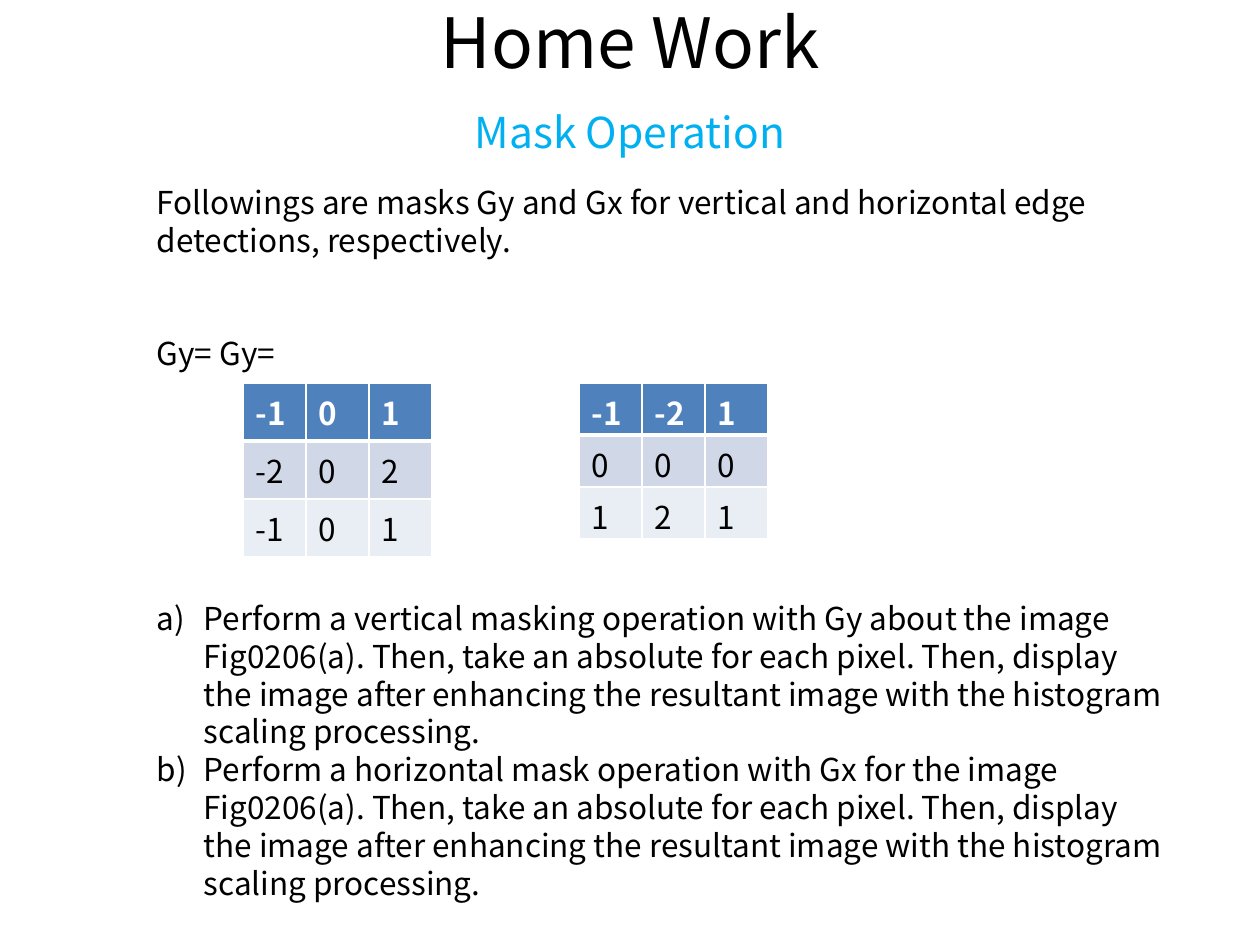
from dataclasses import dataclass

from lxml.etree import SubElement
from pptx import Presentation
from pptx.dml.color import RGBColor
from pptx.enum.text import MSO_ANCHOR, MSO_AUTO_SIZE, PP_ALIGN
from pptx.oxml.ns import qn
from pptx.util import Emu, Pt

EMU_PER_PX = 914400 / 126


@dataclass(frozen=True)
class Theme:
    font: str = "Noto Sans CJK KR"
    ink: str = "000000"
    accent: str = "00B0F0"
    white: str = "FFFFFF"
    row_fills: tuple[str, ...] = ("4F81BD", "D0D8E8", "E9EDF4")
    title_size: float = 39.6
    subtitle_size: float = 24.3
    body_size: float = 18
    body_line: float = 21.6


@dataclass(frozen=True)
class Mask:
    left: int
    top: int
    row_height: int
    bottom_margin: int
    values: tuple[tuple[int, ...], ...]


@dataclass(frozen=True)
class Passage:
    text: str
    blank_lines_before: int = 0
    lettered: bool = False


THEME = Theme()
CELL_WIDTH = 63
LETTER_INDENT = 47
SECOND_LABEL_TAB = 260

MASKS = (
    Mask(243, 383, 58, 6, ((-1, 0, 1), (-2, 0, 2), (-1, 0, 1))),
    Mask(579, 383, 51, 0, ((-1, -2, 1), (0, 0, 0), (1, 2, 1))),
)

TASK_ENDING = (
    "image Fig0206(a). Then, take an absolute for each pixel. Then, display "
    "the image after enhancing the resultant image with the histogram scaling processing."
)
PASSAGES = (
    Passage("Followings are masks Gy and Gx for vertical and horizontal edge "
            "detections, respectively."),
    Passage("Gy=\tGy=", blank_lines_before=2),
    Passage("Perform a vertical masking operation with Gy about the " + TASK_ENDING,
            blank_lines_before=6, lettered=True),
    Passage("Perform a horizontal mask operation with Gx for the " + TASK_ENDING,
            lettered=True),
)


def px(length: int) -> Emu:
    return Emu(round(length * EMU_PER_PX))


def place(shape, left: int, top: int, width: int, height: int) -> None:
    shape.left, shape.top = px(left), px(top)
    shape.width, shape.height = px(width), px(height)


def add_run(paragraph, text: str, size: float, color: str, bold: bool = False) -> None:
    run = paragraph.add_run()
    run.text = text
    run.font.name = THEME.font
    run.font.size = Pt(size)
    run.font.bold = bold
    run.font.color.rgb = RGBColor.from_string(color)


def write_title(title) -> None:
    place(title, 63, 38, 1134, 157)
    frame = title.text_frame
    frame.auto_size = MSO_AUTO_SIZE.NONE
    frame.vertical_anchor = MSO_ANCHOR.MIDDLE
    frame.margin_top, frame.margin_bottom = 0, px(77)
    heading, topic = frame.paragraphs[0], frame.add_paragraph()
    for paragraph, text, size, color, line in (
        (heading, "Home Work", THEME.title_size, THEME.ink, 47.4),
        (topic, "Mask Operation", THEME.subtitle_size, THEME.accent, 42.9),
    ):
        paragraph.alignment = PP_ALIGN.CENTER
        paragraph.line_spacing = Pt(line)
        add_run(paragraph, text, size, color)
    topic._p.get_or_add_pPr().set("indent", str(px(-16)))


def write_passage(paragraph, passage: Passage) -> None:
    paragraph.line_spacing = Pt(THEME.body_line)
    paragraph.space_before = Pt(THEME.body_line * passage.blank_lines_before)
    properties = paragraph._p.get_or_add_pPr()
    indent = px(LETTER_INDENT) if passage.lettered else 0
    properties.set("marL", str(indent))
    properties.set("indent", str(-indent))
    if passage.lettered:
        SubElement(properties, qn("a:buFont"), typeface=THEME.font)
        SubElement(properties, qn("a:buAutoNum"), type="alphaLcParenR")
    else:
        SubElement(properties, qn("a:buNone"))
    if "\t" in passage.text:
        tabs = SubElement(properties, qn("a:tabLst"))
        SubElement(tabs, qn("a:tab"), pos=str(px(SECOND_LABEL_TAB)), algn="l")
    add_run(paragraph, passage.text, THEME.body_size, THEME.ink)


def write_body(body) -> None:
    place(body, 144, 177, 1042, 738)
    frame = body.text_frame
    frame.auto_size = MSO_AUTO_SIZE.NONE
    frame.vertical_anchor = MSO_ANCHOR.TOP
    for index, passage in enumerate(PASSAGES):
        paragraph = frame.add_paragraph() if index else frame.paragraphs[0]
        write_passage(paragraph, passage)


def draw_borders(cell, top: int, bottom: int) -> None:
    properties = cell._tc.get_or_add_tcPr()
    for side, width in (("L", 1), ("R", 1), ("T", top), ("B", bottom)):
        line = SubElement(properties, qn(f"a:ln{side}"), w=str(Pt(width)))
        fill = SubElement(line, qn("a:solidFill"))
        SubElement(fill, qn("a:srgbClr"), val=THEME.white)


def add_mask(slide, mask: Mask) -> None:
    rows, columns = len(mask.values), len(mask.values[0])
    grid = slide.shapes.add_table(
        rows, columns, px(mask.left), px(mask.top),
        px(CELL_WIDTH * columns), px(mask.row_height * rows),
    ).table
    for column in grid.columns:
        column.width = px(CELL_WIDTH)
    for r, values in enumerate(mask.values):
        grid.rows[r].height = px(mask.row_height)
        header = r == 0
        for c, value in enumerate(values):
            cell = grid.cell(r, c)
            cell.margin_bottom = px(mask.bottom_margin)
            draw_borders(cell, 3 if r == 1 else 1, 3 if header else 1)
            cell.fill.solid()
            cell.fill.fore_color.rgb = RGBColor.from_string(THEME.row_fills[r])
            add_run(cell.text_frame.paragraphs[0], str(value), THEME.body_size,
                    THEME.white if header else THEME.ink, header)


def main() -> None:
    deck = Presentation()
    deck.slide_width, deck.slide_height = px(1260), px(945)
    slide = deck.slides.add_slide(deck.slide_layouts[1])
    write_title(slide.shapes.title)
    write_body(slide.placeholders[1])
    for mask in MASKS:
        add_mask(slide, mask)
    deck.save("out.pptx")


if __name__ == "__main__":
    main()
